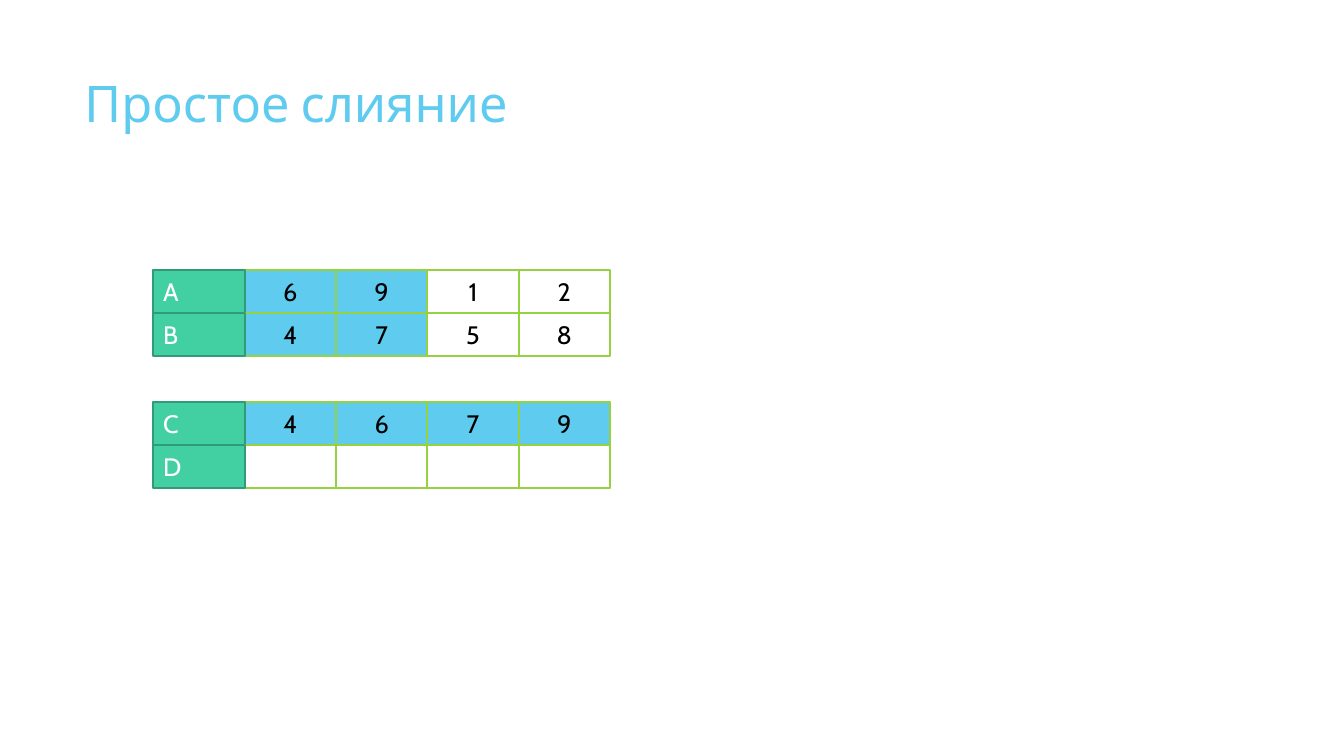
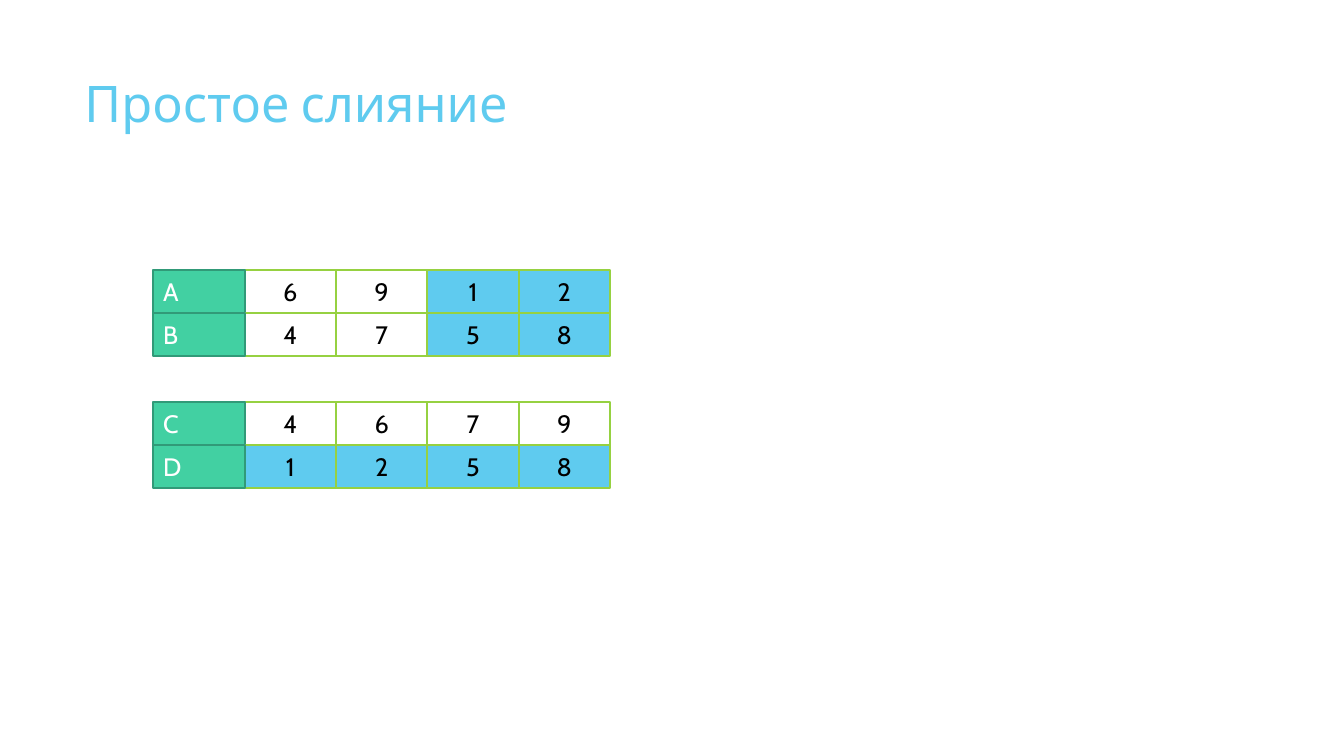
import dataclasses

import pptx
import pptx.dml.color
import pptx.enum.shapes
import pptx.enum.text
import pptx.presentation
import pptx.shapes.autoshape
import pptx.slide
import pptx.text.text
import pptx.util

EMU_PER_PX = 9525
SLIDE_WIDTH, SLIDE_HEIGHT = 1280, 720

FONT = "Cabin"
COLORS = {
    "title": "5FCBEF",
    "active": "5FCBEF",
    "idle": "FFFFFF",
    "cell_line": "96D141",
    "label": "42D0A2",
    "label_line": "319A78",
    "label_text": "FFFFFF",
    "text": "000000",
}

TITLE = "Простое слияние"
TITLE_BOX = (71, 64, 902, 138)

GRID_LEFT = 146
CELL_WIDTH, CELL_HEIGHT = 87, 41
TAPES_PER_PAIR = 2
PAIR_TOPS = (257, 383)


@dataclasses.dataclass(frozen=True)
class Tape:
    """One labelled row of cells; an empty value is an empty cell."""

    label: str
    values: tuple[str, ...]
    active: tuple[int, ...] = ()


TAPE_A = Tape("A", ("6", "9", "1", "2"))
TAPE_B = Tape("B", ("4", "7", "5", "8"))
TAPE_C = Tape("C", ("4", "6", "7", "9"))
TAPE_D = Tape("D", ("1", "2", "5", "8"))

FIRST_RUN, SECOND_RUN, WHOLE_TAPE = (0, 1), (2, 3), (0, 1, 2, 3)

STEPS = (
    (
        dataclasses.replace(TAPE_A, active=FIRST_RUN),
        dataclasses.replace(TAPE_B, active=FIRST_RUN),
        dataclasses.replace(TAPE_C, active=WHOLE_TAPE),
        dataclasses.replace(TAPE_D, values=("",) * 4),
    ),
    (
        dataclasses.replace(TAPE_A, active=SECOND_RUN),
        dataclasses.replace(TAPE_B, active=SECOND_RUN),
        TAPE_C,
        dataclasses.replace(TAPE_D, active=WHOLE_TAPE),
    ),
)


def px(length: int) -> pptx.util.Emu:
    return pptx.util.Emu(length * EMU_PER_PX)


def rgb(name: str) -> pptx.dml.color.RGBColor:
    return pptx.dml.color.RGBColor.from_string(COLORS[name])


def write_text(
    frame: pptx.text.text.TextFrame,
    text: str,
    *,
    size: int = 18,
    color: str = "text",
    align: pptx.enum.text.PP_ALIGN = pptx.enum.text.PP_ALIGN.LEFT,
    anchor: pptx.enum.text.MSO_ANCHOR = pptx.enum.text.MSO_ANCHOR.MIDDLE,
) -> None:
    frame.word_wrap = True
    frame.vertical_anchor = anchor
    paragraph = frame.paragraphs[0]
    paragraph.alignment = align
    run = paragraph.add_run()
    run.text = text
    run.font.name = FONT
    run.font.size = pptx.util.Pt(size)
    run.font.color.rgb = rgb(color)


def add_title(slide: pptx.slide.Slide) -> None:
    box = slide.shapes.add_textbox(*map(px, TITLE_BOX))
    write_text(
        box.text_frame,
        TITLE,
        size=36,
        color="title",
        anchor=pptx.enum.text.MSO_ANCHOR.TOP,
    )


def add_cell(
    slide: pptx.slide.Slide, column: int, top: int, fill: str, line: str
) -> pptx.shapes.autoshape.Shape:
    shape = slide.shapes.add_shape(
        pptx.enum.shapes.MSO_SHAPE.RECTANGLE,
        px(GRID_LEFT + column * CELL_WIDTH),
        px(top),
        px(CELL_WIDTH),
        px(CELL_HEIGHT),
    )
    shape.shadow.inherit = False
    shape.fill.solid()
    shape.fill.fore_color.rgb = rgb(fill)
    shape.line.color.rgb = rgb(line)
    shape.line.width = pptx.util.Pt(1.5)
    return shape


def add_tape(slide: pptx.slide.Slide, tape: Tape, top: int) -> None:
    """Draw the values first, so that the label's border lies on top."""
    for index, value in enumerate(tape.values):
        fill = "active" if index in tape.active else "idle"
        cell = add_cell(slide, index + 1, top, fill, "cell_line")
        if value:
            write_text(cell.text_frame, value, align=pptx.enum.text.PP_ALIGN.CENTER)
    label = add_cell(slide, 0, top, "label", "label_line")
    write_text(label.text_frame, tape.label, color="label_text")


def add_step(
    presentation: pptx.presentation.Presentation, tapes: tuple[Tape, ...]
) -> None:
    slide = presentation.slides.add_slide(presentation.slide_layouts[6])
    add_title(slide)
    for index, tape in enumerate(tapes):
        pair, row = divmod(index, TAPES_PER_PAIR)
        add_tape(slide, tape, PAIR_TOPS[pair] + row * CELL_HEIGHT)


def main() -> None:
    presentation = pptx.Presentation()
    presentation.slide_width = px(SLIDE_WIDTH)
    presentation.slide_height = px(SLIDE_HEIGHT)
    for tapes in STEPS:
        add_step(presentation, tapes)
    presentation.save("out.pptx")


if __name__ == "__main__":
    main()
